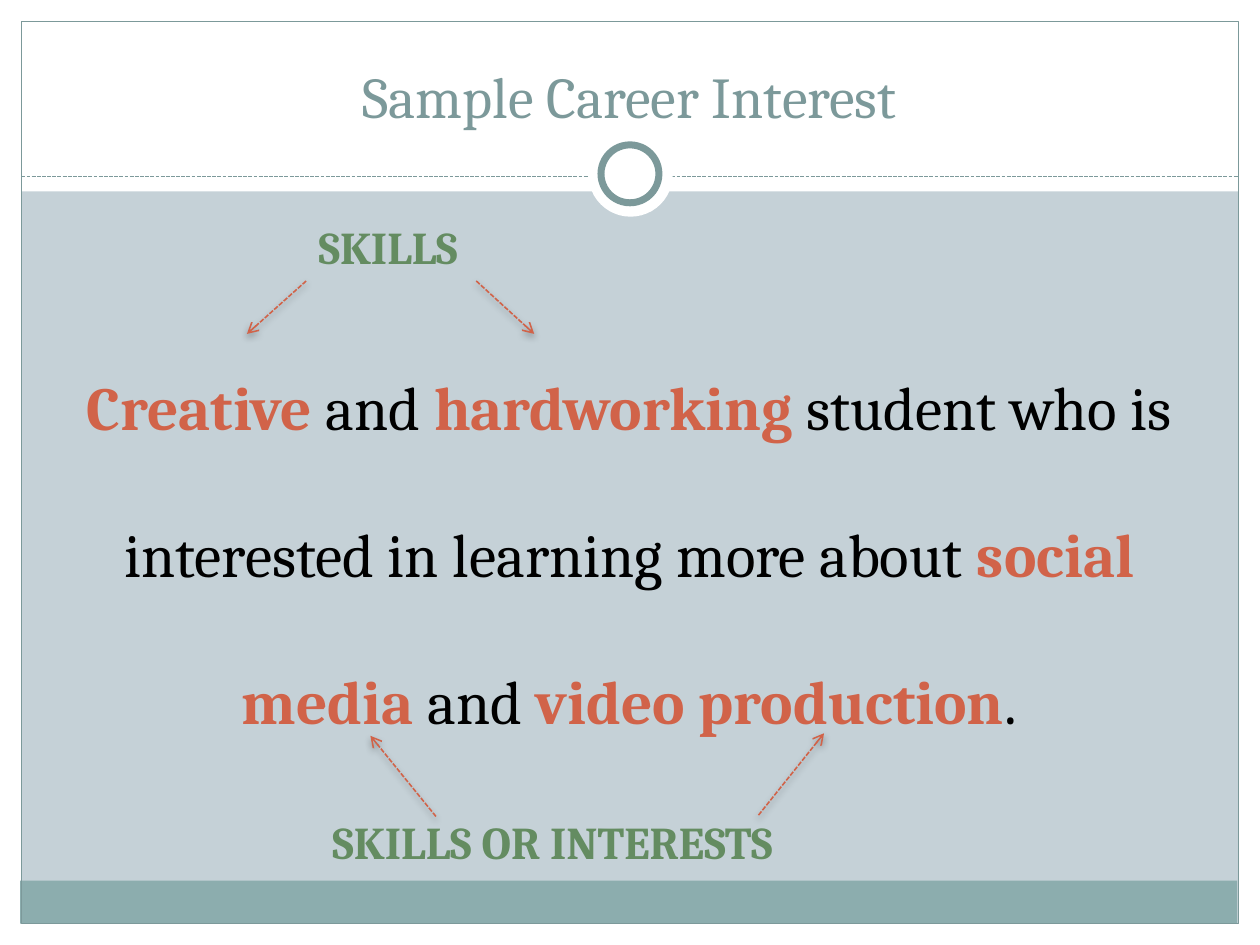
"""Build the "Sample Career Interest" slide on a grid of 1000 by 750 units."""
import pptx
import pptx.dml.color
import pptx.enum.dml
import pptx.enum.shapes
import pptx.enum.text
import pptx.oxml
import pptx.oxml.ns
import pptx.util

RECTANGLE = pptx.enum.shapes.MSO_SHAPE.RECTANGLE
OVAL = pptx.enum.shapes.MSO_SHAPE.OVAL
CENTER = pptx.enum.text.PP_ALIGN.CENTER
NAMESPACE = pptx.oxml.ns.nsdecls("a")
FONT = "Cambria"
WHITE, TEAL, CORAL, GREEN = "FFFFFF", "7C999A", "D16349", "648C61"

deck = pptx.Presentation()
deck.slide_width, deck.slide_height = pptx.util.Inches(10), pptx.util.Inches(7.5)
unit = deck.slide_width // 1000
slide = deck.slides.add_slide(deck.slide_layouts[5])
shapes = slide.shapes


def rgb(value):
    """Turn a hex string into a colour."""
    return pptx.dml.color.RGBColor.from_string(value)


def dashed_line(ends, colour, width, effect=""):
    """Draw a dashed line with the given effect as its only one."""
    line = shapes.add_connector(
        pptx.enum.shapes.MSO_CONNECTOR.STRAIGHT, *(unit * n for n in ends))
    line.line.color.rgb = rgb(colour)
    line.line.width = pptx.util.Pt(width)
    line.line.dash_style = pptx.enum.dml.MSO_LINE.SQUARE_DOT
    line.element.spPr.append(pptx.oxml.parse_xml(
        f"<a:effectLst {NAMESPACE}>{effect}</a:effectLst>"))
    return line


slide.background.fill.solid()
slide.background.fill.fore_color.rgb = rgb("C5D1D7")

dashed_rule = None
for kind, cells, fill, border in [
    (RECTANGLE, (0, 733, 1000, 17), WHITE, 0),
    (RECTANGLE, (0, 0, 1000, 152), WHITE, 0),
    (RECTANGLE, (0, 0, 17, 750), WHITE, 0),
    (RECTANGLE, (983, 0, 17, 750), WHITE, 0),
    (RECTANGLE, (16, 699, 966, 34), "8CADAE", 0),
    (RECTANGLE, (17, 17, 966, 716), None, 0.75),
    (OVAL, (467, 105, 67, 67), WHITE, 0),
    (OVAL, (477, 115, 46, 46), WHITE, 4),
]:
    if kind == OVAL and dashed_rule is None:
        dashed_rule = dashed_line((17, 140, 983, 140), TEAL, 0.75)
    panel = shapes.add_shape(kind, *(unit * n for n in cells))
    panel.shadow.inherit = False
    if fill:
        panel.fill.solid()
        panel.fill.fore_color.rgb = rgb(fill)
    else:
        panel.fill.background()
    if border:
        panel.line.color.rgb = rgb(TEAL)
        panel.line.width = pptx.util.Pt(border)
    else:
        panel.line.fill.background()

title = shapes.title
title.left, title.top, title.width, title.height = (unit * n for n in (33, 25, 933, 83))
title.text_frame.text = "Sample Career Interest"
title.text_frame.vertical_anchor = pptx.enum.text.MSO_ANCHOR.BOTTOM
heading = title.text_frame.paragraphs[0]
heading.alignment = CENTER
heading.font.name, heading.font.size = FONT, pptx.util.Pt(33)
heading.font.color.rgb = rgb(TEAL)
title.element.getparent().append(title.element)

statement = shapes.add_textbox(*(unit * n for n in (33, 230, 933, 402)))
statement.text_frame.word_wrap = True
sentence = statement.text_frame.paragraphs[0]
sentence.alignment = CENTER
sentence.line_spacing = 2.0
sentence.space_before = pptx.util.Pt(7)
sentence.font.name, sentence.font.size = FONT, pptx.util.Pt(35)
for words, is_key in [
    ("Creative", True), (" and ", False), ("hardworking", True),
    (" student who is interested in learning more about ", False),
    ("social media ", True), ("and ", False), ("video production", True), (".", False),
]:
    part = sentence.add_run()
    part.text = words
    part.font.bold = is_key
    part.font.color.rgb = rgb(CORAL if is_key else "000000")

for words, cells in [
    ("SKILLS", (243, 169, 164, 54)),
    ("SKILLS OR INTERESTS", (254, 641, 467, 54)),
]:
    label = shapes.add_textbox(*(unit * n for n in cells))
    label.text_frame.word_wrap = False
    label.text_frame.auto_size = pptx.enum.text.MSO_AUTO_SIZE.SHAPE_TO_FIT_TEXT
    caption = label.text_frame.paragraphs[0]
    caption.text = words
    caption.font.name, caption.font.size, caption.font.bold = FONT, pptx.util.Pt(26), True
    caption.font.color.rgb = rgb(GREEN)

soft_shadow = (
    f'<a:outerShdw blurRad="{pptx.util.Pt(4)}" dist="{pptx.util.Pt(2)}" dir="5400000">'
    '<a:srgbClr val="000000"><a:alpha val="35000"/></a:srgbClr></a:outerShdw>')
for ends in [
    (378, 223, 424, 265), (243, 223, 196, 265),
    (602, 647, 654, 582), (346, 648, 294, 584),
]:
    arrow = dashed_line(ends, CORAL, 0.9, soft_shadow)
    arrow.line.fill
    arrow.element.spPr.find(pptx.oxml.ns.qn("a:ln")).append(
        pptx.oxml.parse_xml(f'<a:tailEnd {NAMESPACE} type="arrow"/>'))

deck.save("out.pptx")
